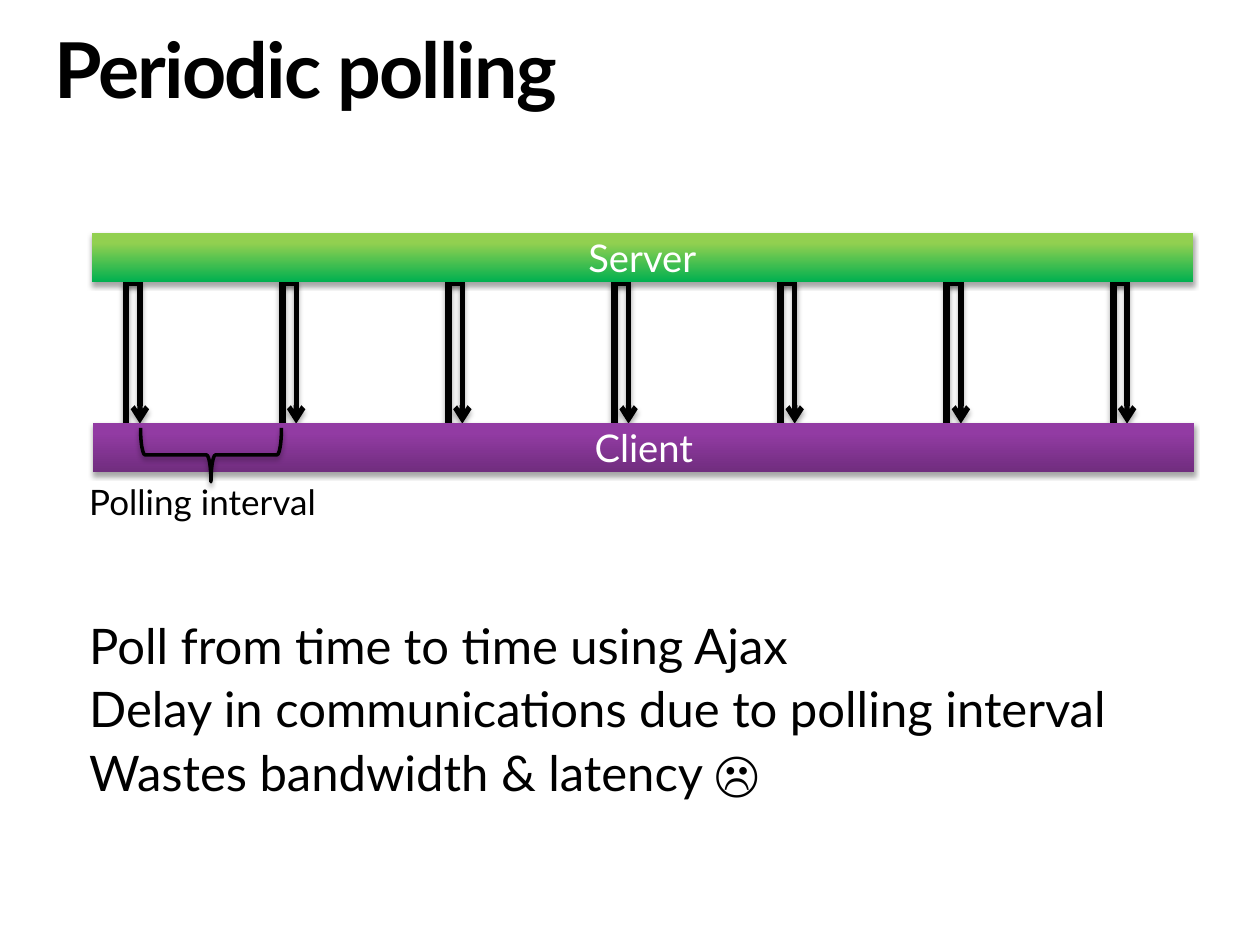
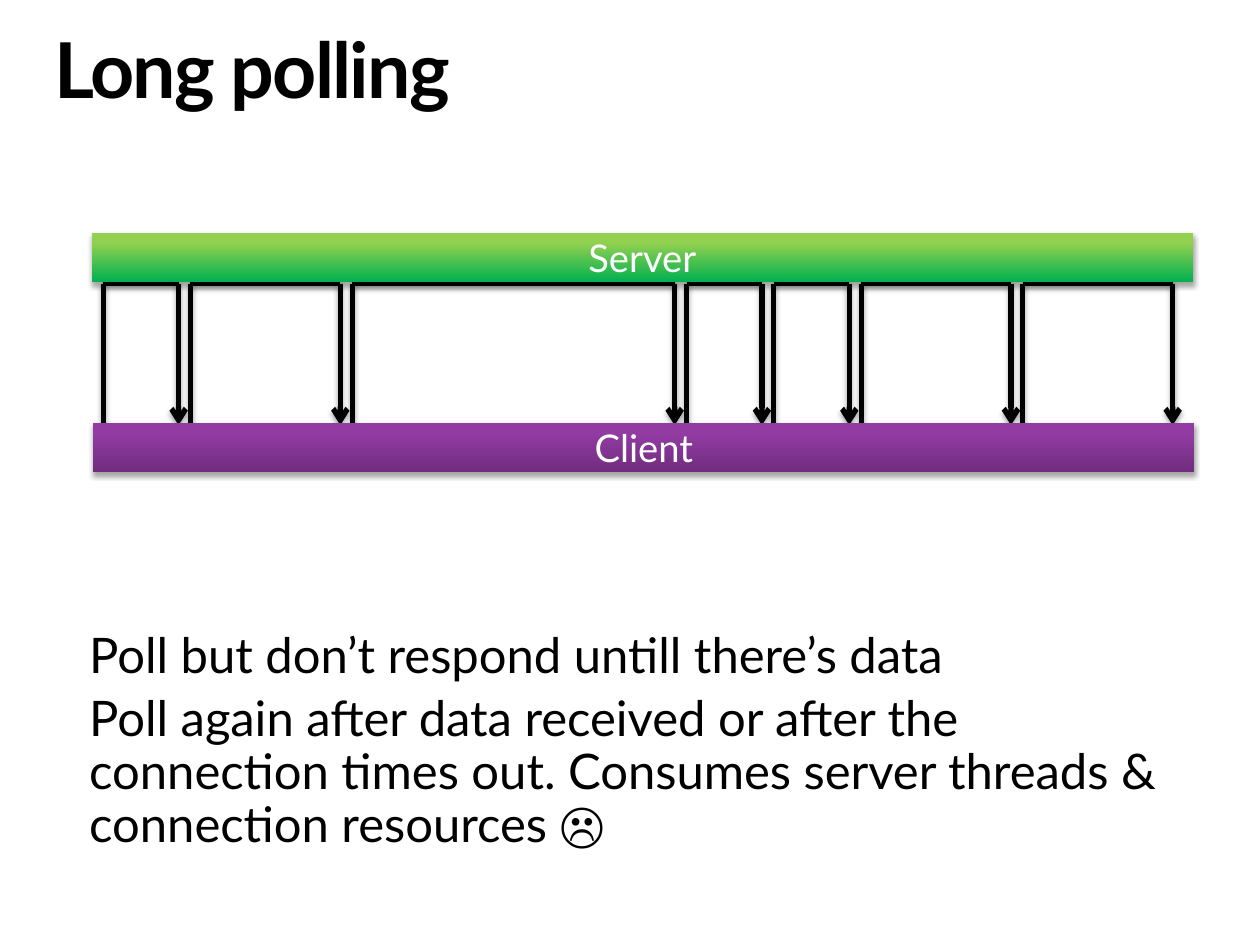
"""Build two slides that compare periodic polling with long polling."""
from lxml import etree
from pptx import Presentation
from pptx.dml.color import RGBColor
from pptx.enum import shapes, text
from pptx.oxml import ns
from pptx.util import Cm, Pt

BLACK = RGBColor(0x00, 0x00, 0x00)
WHITE = RGBColor(0xFF, 0xFF, 0xFF)
GREEN = RGBColor(0x00, 0xB0, 0x50)
LIME = RGBColor(0x92, 0xD0, 0x50)
PLUM = RGBColor(0x70, 0x2D, 0x7E)
PURPLE = RGBColor(0x92, 0x3B, 0xA3)
FONT = "Lato"


def write(sp, content, size, color=BLACK, bold=False, spc=0, align=None,
          line=1.0, before=0, inset=(0, 0), anchor=text.MSO_ANCHOR.TOP):
    tf = sp.text_frame
    tf.word_wrap = True
    tf.vertical_anchor = anchor
    tf.margin_left = tf.margin_right = Cm(inset[0])
    tf.margin_top = tf.margin_bottom = Cm(inset[1])
    for i, words in enumerate(content.split("\n")):
        p = tf.add_paragraph() if i else tf.paragraphs[0]
        p.alignment = align
        p.line_spacing = line
        p.space_before = Pt(before if i else 0)
        r = p.add_run()
        r.text = words
        r.font.name, r.font.size = FONT, Pt(size)
        r.font.bold, r.font.color.rgb = bold, color
        if spc:
            r._r.get_or_add_rPr().set("spc", str(spc))


def add_shadow(sp):
    effects = etree.SubElement(sp._element.spPr, ns.qn("a:effectLst"))
    shadow = etree.SubElement(effects, ns.qn("a:outerShdw"), blurRad=str(Pt(3.1)),
                              dist=str(Pt(1.8)), dir="5400000", rotWithShape="0")
    color = etree.SubElement(shadow, ns.qn("a:srgbClr"), val=str(BLACK))
    etree.SubElement(color, ns.qn("a:alpha"), val="35000")


periodic = [(x, x + 0.28) for x in [2.54] + [5.69 + 3.35 * i for i in range(6)]]
long_polls = []
x = 2.08
for wait in (1.52, 3.02, 6.5, 1.52, 1.52, 3.02, 3.02):
    long_polls.append((x, x + wait))
    x += wait + 0.24

PAGES = [
    ("Periodic polling", periodic, 4, 5.69, 12.55,
     "Poll from time to time using Ajax\n"
     "Delay in communications due to polling interval\n"
     "Wastes bandwidth & latency ☹"),
    ("Long polling", long_polls, 3, 5.72, 12.72,
     "Poll but don’t respond untill there’s data\n"
     "Poll again after data received or after the connection times out. "
     "Consumes server threads & connection resources ☹"),
]
BARS = [("Client", 1.88, 8.53, PLUM, PURPLE), ("Server", 1.85, 4.7, GREEN, LIME)]

prs = Presentation()
prs.slide_width, prs.slide_height = Cm(25.4), Cm(19.05)

for title, polls, weight, top, body_top, body in PAGES:
    s = prs.slides.add_slide(prs.slide_layouts[6])
    sp = s.shapes.add_textbox(Cm(1.09), Cm(0.64), Cm(23.24), Cm(1.7))
    write(sp, title, 44, bold=True, spc=-100, line=0.9)
    sp = s.shapes.add_textbox(Cm(1.8), Cm(body_top), Cm(22.53), Cm(4.5))
    write(sp, body, 28, line=0.9, before=5.8)

    bottom = top + 2.85
    for ask, reply in polls:
        for x1, y1, x2, y2, width, arrow in (
                (ask, top, ask, bottom, weight, False),
                (reply, top, reply, bottom, 3, True),
                (ask, top, reply, top, weight, False)):
            line = s.shapes.add_connector(shapes.MSO_CONNECTOR.STRAIGHT,
                                          Cm(x1), Cm(y1), Cm(x2), Cm(y2))
            line.line.color.rgb, line.line.width = BLACK, Pt(width)
            if arrow:
                etree.SubElement(line.line._get_or_add_ln(), ns.qn("a:tailEnd"), type="arrow")
            add_shadow(line)

    for name, left, bar_top, dark, light in BARS:
        bar = s.shapes.add_shape(shapes.MSO_SHAPE.RECTANGLE,
                                 Cm(left), Cm(bar_top), Cm(22.2), Cm(0.99))
        bar.fill.gradient()
        bar.fill.gradient_angle = 90
        for stop, color, position in zip(bar.fill.gradient_stops, (dark, light), (0, 0.8)):
            stop.color.rgb, stop.position = color, position
        bar.line.fill.background()
        add_shadow(bar)
        write(bar, name, 21.8, WHITE, align=text.PP_ALIGN.CENTER,
              inset=(0.25, 0.13), anchor=text.MSO_ANCHOR.MIDDLE)

    if polls is periodic:
        brace = s.shapes.add_shape(shapes.MSO_SHAPE.LEFT_BRACE,
                                   Cm(3.71), Cm(7.75), Cm(1.09), Cm(2.84))
        brace.rotation = 270
        brace.fill.background()
        brace.line.color.rgb, brace.line.width = BLACK, Pt(2)
        add_shadow(brace)
        label = s.shapes.add_textbox(Cm(1.8), Cm(9.68), Cm(5.77), Cm(0.86))
        write(label, "Polling interval", 20)

prs.save("out.pptx")
